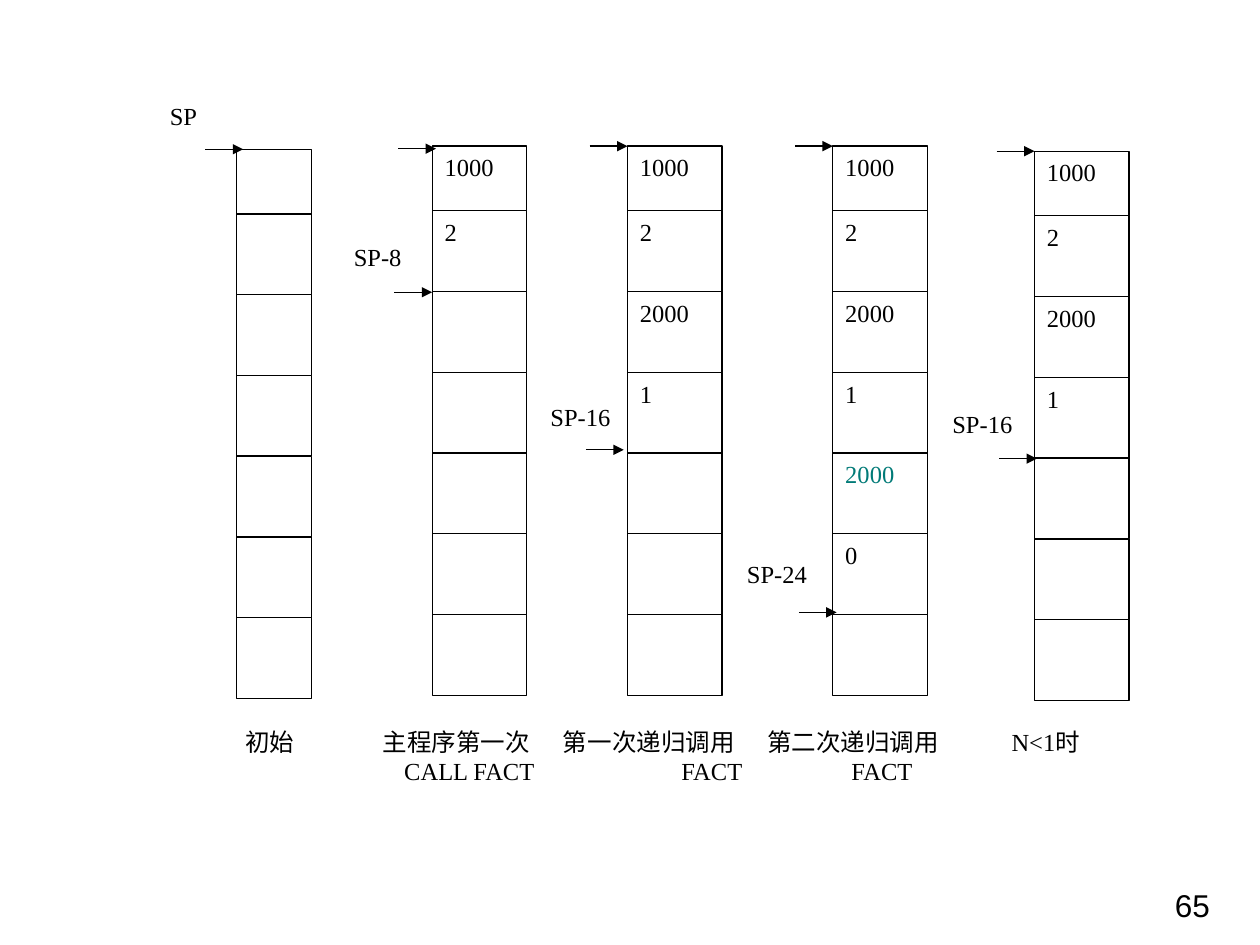
from dataclasses import dataclass

from lxml import etree
from pptx import Presentation
from pptx.dml.color import RGBColor
from pptx.enum.shapes import MSO_CONNECTOR, MSO_SHAPE
from pptx.enum.text import MSO_ANCHOR, PP_ALIGN
from pptx.oxml.ns import qn
from pptx.util import Inches, Pt

RECTANGLE = MSO_SHAPE.RECTANGLE
STRAIGHT = MSO_CONNECTOR.STRAIGHT
TOP = MSO_ANCHOR.TOP
JUSTIFY, RIGHT = PP_ALIGN.JUSTIFY, PP_ALIGN.RIGHT

BLANK_LAYOUT = 6
GRID_COLUMNS, GRID_ROWS = 100, 75
CELL_COUNT = 7
FIRST_HEIGHT, CELL_HEIGHT = 5.13, 6.41
ARROW_LENGTH = 3
LABEL_HEIGHT = 3.8
BLACK, WHITE, TEAL = "000000", "FFFFFF", "007A77"


def colour(hex_string):
    return RGBColor.from_string(hex_string)


@dataclass
class Stack:
    """One state of the stack; positions are in grid units."""
    left: float
    top: float
    width: float
    values: tuple
    arrow_tips: tuple
    label: str
    label_box: tuple
    highlighted: int = -1


class StackSlide:
    font_name = "Times New Roman"
    font_size = 14
    line_width = 0.75

    def __init__(self, presentation):
        self.column = presentation.slide_width / GRID_COLUMNS
        self.row = presentation.slide_height / GRID_ROWS
        self.slide = presentation.slides.add_slide(
            presentation.slide_layouts[BLANK_LAYOUT])

    def place(self, left, top, width, height):
        """Turn grid units into slide lengths."""
        return (round(left * self.column), round(top * self.row),
                round(width * self.column), round(height * self.row))

    def style(self, paragraph, text, ink=BLACK, align=JUSTIFY,
              name=font_name, size=font_size):
        paragraph.text = text
        paragraph.alignment = align
        paragraph.font.name = name
        paragraph.font.size = Pt(size)
        paragraph.font.color.rgb = colour(ink)

    def box(self, left, top, width, height, text="", ink=BLACK, outline=WHITE):
        rectangle = self.slide.shapes.add_shape(
            RECTANGLE, *self.place(left, top, width, height))
        rectangle.shadow.inherit = False
        rectangle.fill.solid()
        rectangle.fill.fore_color.rgb = colour(WHITE)
        rectangle.line.color.rgb = colour(outline)
        rectangle.line.width = Pt(self.line_width)
        frame = rectangle.text_frame
        frame.word_wrap = True
        frame.vertical_anchor = TOP
        if text:
            self.style(frame.paragraphs[0], text, ink)
        return frame

    def arrow(self, tip_column, tip_row):
        start_x, y, length, _ = self.place(
            tip_column - ARROW_LENGTH, tip_row, ARROW_LENGTH, 0)
        connector = self.slide.shapes.add_connector(
            STRAIGHT, start_x, y, start_x + length, y)
        connector.line.color.rgb = colour(BLACK)
        connector.line.width = Pt(self.line_width)
        properties = connector.element.spPr
        etree.SubElement(properties.find(qn("a:ln")), qn("a:tailEnd"),
                         type="triangle")
        etree.SubElement(properties, qn("a:effectLst"))

    def stack(self, state):
        self.box(*state.label_box, LABEL_HEIGHT, state.label)
        top = state.top
        for index in range(CELL_COUNT):
            height = CELL_HEIGHT if index else FIRST_HEIGHT
            value = state.values[index] if index < len(state.values) else ""
            ink = TEAL if index == state.highlighted else BLACK
            self.box(state.left, top, state.width, height, value, ink, BLACK)
            top += height
        for tip in state.arrow_tips:
            self.arrow(*tip)

    def captions(self, left, top, width, height, lines):
        """Write lines of captions, each given as text and tab stop in inches."""
        frame = self.box(left, top, width, height)
        for index, line in enumerate(lines):
            paragraph = frame.add_paragraph() if index else frame.paragraphs[0]
            tabs = etree.SubElement(paragraph._p.get_or_add_pPr(), qn("a:tabLst"))
            for _, stop in line:
                if stop:
                    etree.SubElement(tabs, qn("a:tab"),
                                     pos=str(Inches(stop)), algn="l")
            text = "".join(("\t" if stop else "") + words for words, stop in line)
            self.style(paragraph, text)

    def page_number(self, number):
        frame = self.slide.shapes.add_textbox(
            *self.place(72, 69.8, 25, 5.2)).text_frame
        frame.word_wrap = True
        self.style(frame.paragraphs[0], number, align=RIGHT, name="Arial", size=18)


STACKS = (
    Stack(18.75, 11.85, 6, (), ((19.3, 11.85),), "SP", (12.5, 7.5, 6)),
    Stack(34.3, 11.6, 7.5, ("1000", "2"), ((34.6, 11.8), (34.3, 23.2)),
          "SP-8", (27.1, 18.7, 6)),
    Stack(49.8, 11.6, 7.5, ("1000", "2", "2000", "1"),
          ((49.8, 11.6), (49.5, 35.7)), "SP-16", (42.7, 31.4, 7.5)),
    Stack(66.1, 11.6, 7.5, ("1000", "2", "2000", "1", "2000", "0"),
          ((66.1, 11.6), (66.4, 48.6)), "SP-24", (58.3, 43.9, 7.5),
          highlighted=4),
    Stack(82.1, 12, 7.5, ("1000", "2", "2000", "1"),
          ((82.1, 12), (82.3, 36.4)), "SP-16", (74.6, 32, 7.1)),
)
CAPTIONS = (
    (("初始", 0), ("主程序第一次", 1.09), ("第一次递归调用", 2.52),
     ("第二次递归调用", 4.14), ("N<1时", 6.08)),
    (("CALL FACT", 1.26), ("FACT", 3.46), ("FACT", 4.81)),
)


def main():
    presentation = Presentation()
    presentation.slide_width = Inches(10)
    presentation.slide_height = Inches(7.5)
    page = StackSlide(presentation)
    for state in STACKS:
        page.stack(state)
    page.captions(18.5, 57.2, 70.6, 9, CAPTIONS)
    page.page_number("65")
    presentation.save("out.pptx")


if __name__ == "__main__":
    main()
